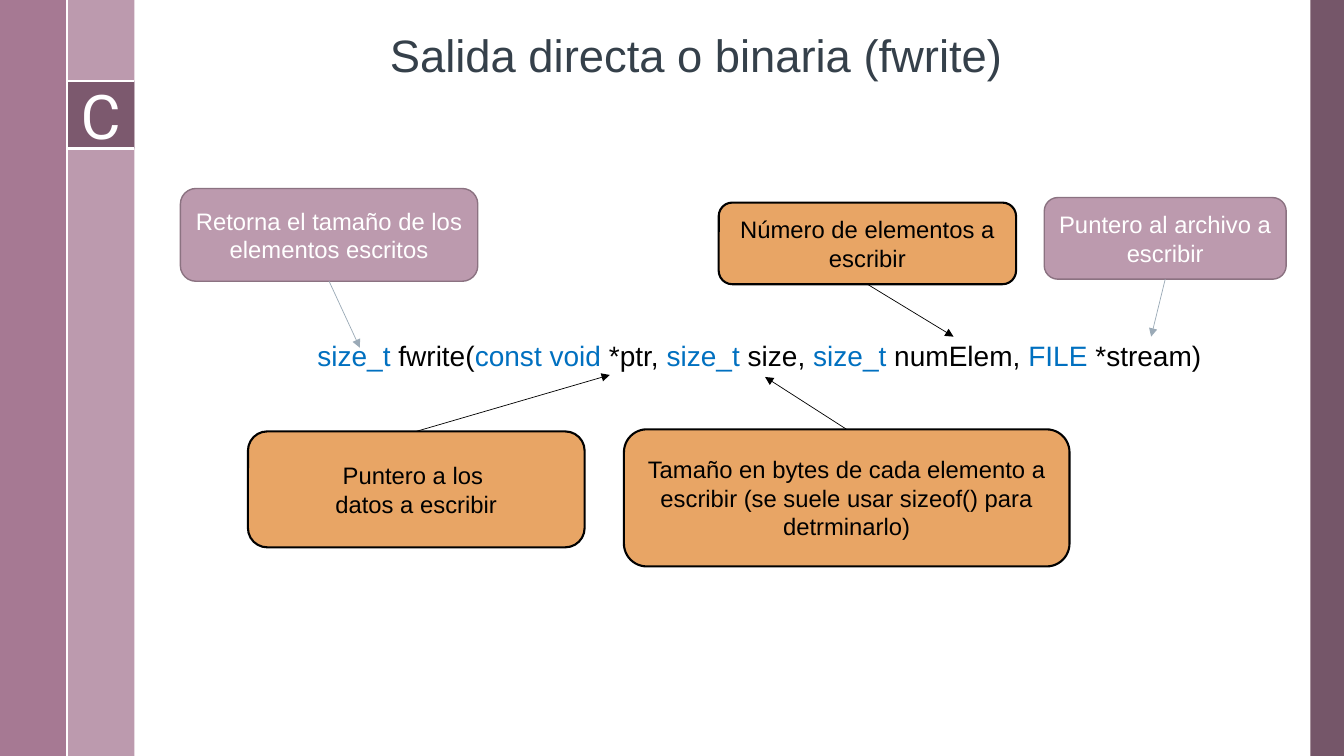
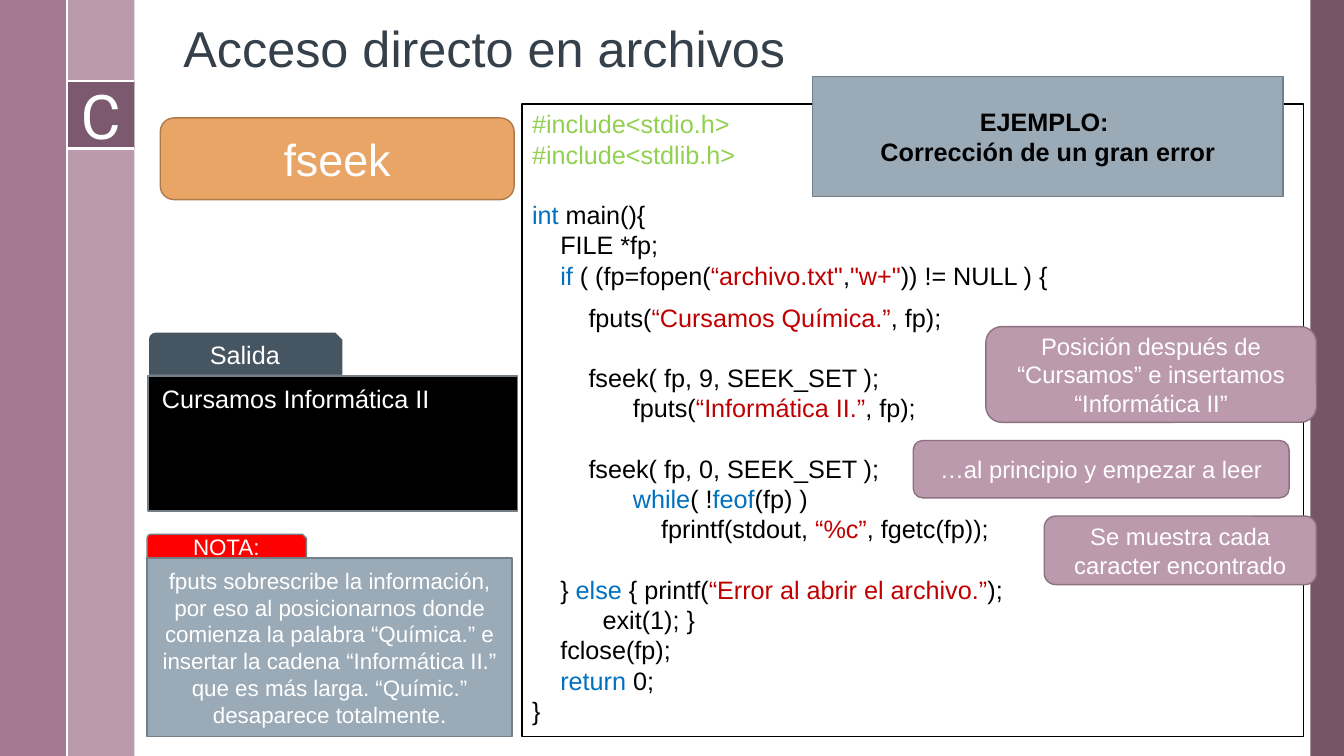
from lxml import etree
from pptx import Presentation
from pptx.dml.color import RGBColor
from pptx.enum.shapes import MSO_CONNECTOR, MSO_SHAPE
from pptx.enum.text import MSO_ANCHOR, PP_ALIGN
from pptx.oxml.ns import qn
from pptx.util import Inches, Pt

RECT, ROUND = MSO_SHAPE.RECTANGLE, MSO_SHAPE.ROUNDED_RECTANGLE
TAB = MSO_SHAPE.SNIP_ROUND_RECTANGLE
STRAIGHT = MSO_CONNECTOR.STRAIGHT
TOP, MIDDLE, BOTTOM = MSO_ANCHOR.TOP, MSO_ANCHOR.MIDDLE, MSO_ANCHOR.BOTTOM
LEFT, CENTER = PP_ALIGN.LEFT, PP_ALIGN.CENTER

COLS, ROWS = 40, 22.5
CELL = Inches(13.333) / COLS
BODY = (4, 0, 35, ROWS)

WHITE, BLACK, INK = "FFFFFF", "000000", "35404A"
PLUM, ROSE, MAUVE, MAUVE_EDGE = "674459", "9A6785", "BC9AAE", "8B7281"
ORANGE, ORANGE_EDGE = "E8A565", "AC7A4B"
GRAY, GRAY_EDGE, SLATE, RED = "9BAAB7", "737E87", "465562", "FF0000"
KEYWORD, STRING, INCLUDE = "0070C0", "C00000", "92D050"

MAUVE_STYLE = dict(fill=MAUVE, line=MAUVE_EDGE, color=WHITE)
ORANGE_STYLE = dict(fill=ORANGE, line=BLACK, weight=1.5, color=BLACK)

SIGNATURE = [
    ("size_t ", KEYWORD), "fwrite(", ("const void ", KEYWORD), "*ptr, ",
    ("size_t ", KEYWORD), "size, ", ("size_t ", KEYWORD), "numElem, ",
    ("FILE ", KEYWORD), "*stream)",
]

FWRITE_LABELS = [
    ((1.37, 5.61, 8.85, 2.76), ["Retorna el tamaño de los elementos escritos"],
     (6.71, 10.35), MAUVE_STYLE, GRAY),
    ((3.38, 12.84, 10.02, 3.45), ["Puntero a los ", "datos a escribir"],
     (14.15, 11.16), ORANGE_STYLE, BLACK),
    ((14.57, 12.78, 13.26, 4.08),
     ["Tamaño en bytes de cada elemento a escribir "
      "(se suele usar sizeof() para detrminarlo)"],
     (18.77, 11.22), ORANGE_STYLE, BLACK),
    ((17.39, 6.03, 8.85, 2.43), ["Número de elementos a escribir"],
     (24.38, 10.02), ORANGE_STYLE, BLACK),
    ((27.08, 5.88, 7.2, 2.43), ["Puntero al archivo a escribir"],
     (30.26, 10.02), MAUVE_STYLE, GRAY),
]

LINE_PT = 21.6
CODE = [
    (0, 0, [("#include<stdio.h>", INCLUDE)]),
    (0, 0, [("#include<stdlib.h>", INCLUDE)]),
    (0, LINE_PT, [("int ", KEYWORD), "main(){"]),
    (0.28, 0, ["FILE *fp;"]),
    (0.28, 0, [("if ", KEYWORD), "( (fp=fopen(", ("“archivo.txt\"", STRING),
               ",", ("\"w+\"", STRING), ")) != NULL ) {"]),
    (0.56, 8.4, ["fputs(", ("“Cursamos Química.”", STRING), ", fp);"]),
    (0.56, LINE_PT, ["fseek( fp, 9, SEEK_SET );"]),
    (1, 0, ["fputs(", ("“Informática II.”", STRING), ", fp);"]),
    (0.56, LINE_PT, ["fseek( fp, 0, SEEK_SET );"]),
    (1, 0, [("while", KEYWORD), "( !", ("feof", KEYWORD), "(fp) )"]),
    (1.28, 0, ["fprintf(stdout, ", ("“%c”", STRING), ", fgetc(fp));"]),
    (0.28, LINE_PT, ["} ", ("else", KEYWORD), " { printf(",
                     ("“Error al abrir el archivo.”", STRING), ");"]),
    (0.7, 0, ["exit(1); }"]),
    (0.28, 0, ["fclose(fp);"]),
    (0.28, 0, [("return", KEYWORD), " 0;"]),
    (0, 0, ["}"]),
]

CODE_CALLOUTS = [
    ((13.8, 6.63, 9.84, 2.85),
     "Posición después de “Cursamos” e insertamos “Informática II”"),
    ((11.64, 10.02, 11.19, 1.71), "…al principio y empezar a leer"),
    ((15.54, 12.27, 8.1, 2.04), "Se muestra cada caracter encontrado"),
]


def rgb(value):
    """Turn a hex string into a colour."""
    return RGBColor.from_string(value)


def emu(*cells):
    """Convert grid cells to slide units."""
    return [round(c * CELL) for c in cells]


def within(box, part):
    """Shift a part by the origin of its box."""
    return (box[0] + part[0], box[1] + part[1], *part[2:])


def write(sp, paragraphs, size, color, font="Arial", bold=False, align=CENTER,
          anchor=MIDDLE):
    """Fill a shape with paragraphs of plain or coloured runs."""
    tf = sp.text_frame
    tf.word_wrap = True
    tf.vertical_anchor = anchor
    for i, runs in enumerate(paragraphs):
        p = tf.add_paragraph() if i else tf.paragraphs[0]
        p.alignment = align
        p.font.size, p.font.name, p.font.bold = Pt(size), font, bold
        p.font.color.rgb = rgb(color)
        for run in [runs] if isinstance(runs, str) else runs:
            text, tint = (run, None) if isinstance(run, str) else run
            r = p.add_run()
            r.text = text
            if tint:
                r.font.color.rgb = rgb(tint)
    return tf


def add_box(s, box, fill, line=None, weight=1, alpha=None, kind=RECT):
    """Add a preset shape with a flat fill and an optional outline."""
    sp = s.shapes.add_shape(kind, *emu(*box))
    sp.shadow.inherit = False
    sp.fill.solid()
    sp.fill.fore_color.rgb = rgb(fill)
    if alpha:
        clr = sp.fill._xPr.find(qn("a:solidFill"))[0]
        etree.SubElement(clr, qn("a:alpha"), val=str(alpha * 1000))
    if line:
        sp.line.color.rgb = rgb(line)
        sp.line.width = Pt(weight)
    else:
        sp.line.fill.background()
    return sp


def add_text(s, box, paragraphs, size, color, **style):
    """Add a wrapping text box."""
    sp = s.shapes.add_textbox(*emu(*box))
    return write(sp, paragraphs, size, color, align=LEFT, **style)


def add_line(s, start, end, color, weight, arrow=False):
    """Add a straight line, with an arrowhead at its end if asked."""
    cx = s.shapes.add_connector(STRAIGHT, *emu(*start, *end))
    cx.line.color.rgb = rgb(color)
    cx.line.width = Pt(weight)
    if arrow:
        etree.SubElement(cx.line._get_or_add_ln(), qn("a:tailEnd"), type="triangle")
    etree.SubElement(cx._element.spPr, qn("a:effectLst"))


def add_label(s, box, paragraphs, fill, line, color, weight=1, size=17):
    """Add a rounded label."""
    sp = add_box(s, box, fill, line, weight, kind=ROUND)
    write(sp, paragraphs, size, color)


def add_frame(s):
    """Draw the side bands and the letter badge."""
    add_box(s, (39, 0, 1, ROWS), PLUM, alpha=90)
    add_box(s, (2, 0, 2, ROWS), MAUVE)
    add_box(s, (0, 0, 2, ROWS), ROSE, alpha=88)
    badge = add_box(s, (2, 2.42, 2, 2), PLUM, alpha=75)
    write(badge, ["C"], 44, WHITE, font="Roboto")
    for y in (2.42, 4.42):
        add_line(s, (2, y), (4, y), WHITE, 1.5)
    add_line(s, (2, 0), (2, ROWS), WHITE, 1.5)


def new_slide(prs, title, box, size):
    """Add a framed blank slide with a title."""
    s = prs.slides.add_slide(prs.slide_layouts[6])
    add_frame(s)
    tf = add_text(s, box, [title], size, INK, anchor=BOTTOM)
    tf.paragraphs[0].line_spacing = 0.9
    return s


def add_signature(s, box):
    """Draw the function signature with a label for each part."""
    add_text(s, within(box, (5.15, 9.93, 27.24, 1.32)), [SIGNATURE], 20, BLACK,
             anchor=TOP)
    for part, text, target, style, arrow in FWRITE_LABELS:
        x, y, w, h = label = within(box, part)
        tip = within(box, target)
        add_label(s, label, text, **style)
        start = (x + w / 2, y + h if tip[1] > y else y)
        add_line(s, start, tip, arrow, 0.5, arrow=True)


def add_code(s, box):
    """Draw the code panel with its heading and callouts."""
    panel = add_box(s, box, WHITE, BLACK)
    tf = write(panel, [runs for _, _, runs in CODE], 18, BLACK, align=LEFT,
               anchor=TOP)
    for p, (indent, gap, _) in zip(tf.paragraphs, CODE):
        p.line_spacing, p.space_before = Pt(LINE_PT), Pt(gap)
        p._p.get_or_add_pPr().set("marL", str(Inches(indent)))
    heading = add_box(s, within(box, (8.64, -0.81, 14.01, 3.57)), GRAY, GRAY_EDGE)
    write(heading, ["EJEMPLO: ", "Corrección de un gran error"], 18, BLACK,
          bold=True)
    for part, text in CODE_CALLOUTS:
        add_label(s, within(box, part), [text], **MAUVE_STYLE)


def add_tabbed(s, box, tab_size, name, text, size, tab_style, fill, **style):
    """Draw a text panel with a tab on its top edge."""
    x, y, w, h = box
    tab_w, tab_h = tab_size
    tab = add_box(s, (x, y, tab_w, tab_h), kind=TAB, **tab_style)
    write(tab, [name], size, WHITE)
    panel = add_box(s, (x, y + tab_h, w, h - tab_h), fill, GRAY_EDGE)
    return write(panel, [text], size, WHITE, **style)


def fwrite_slide(prs):
    """Build the slide on binary output."""
    s = new_slide(prs, "Salida directa o binaria (fwrite)",
                  (11.31, 0.21, 20.25, 2.4), 32.4)
    add_signature(s, BODY)


def fseek_slide(prs):
    """Build the slide on direct access."""
    s = new_slide(prs, "Acceso directo en archivos", (5.16, 0.09, 20.25, 2.4), 36)
    add_code(s, (15.54, 3.09, 23.25, 18.84))
    add_label(s, (4.77, 3.51, 10.53, 2.43), ["fseek"], ORANGE, ORANGE_EDGE,
              WHITE, size=32)
    tf = add_tabbed(s, (4.4, 9.87, 11, 5.34), (5.82, 1.32), "Salida",
                    "Cursamos Informática II", 18,
                    dict(fill=SLATE, line=WHITE, weight=1.5), BLACK,
                    align=LEFT, anchor=TOP)
    tf.margin_left, tf.margin_top = Inches(0.14), Inches(0.07)
    add_tabbed(s, (4.38, 15.9, 10.86, 6.03), (4.74, 0.71), "NOTA:",
               "fputs sobrescribe la información, por eso al posicionarnos donde "
               "comienza la palabra “Química.” e insertar la cadena “Informática "
               "II.” que es más larga. “Químic.” desaparece totalmente.", 16,
               dict(fill=RED, line=GRAY_EDGE), GRAY)


def main():
    """Build and save the presentation."""
    prs = Presentation()
    prs.slide_width, prs.slide_height = emu(COLS, ROWS)
    fwrite_slide(prs)
    fseek_slide(prs)
    prs.save("out.pptx")


if __name__ == "__main__":
    main()
